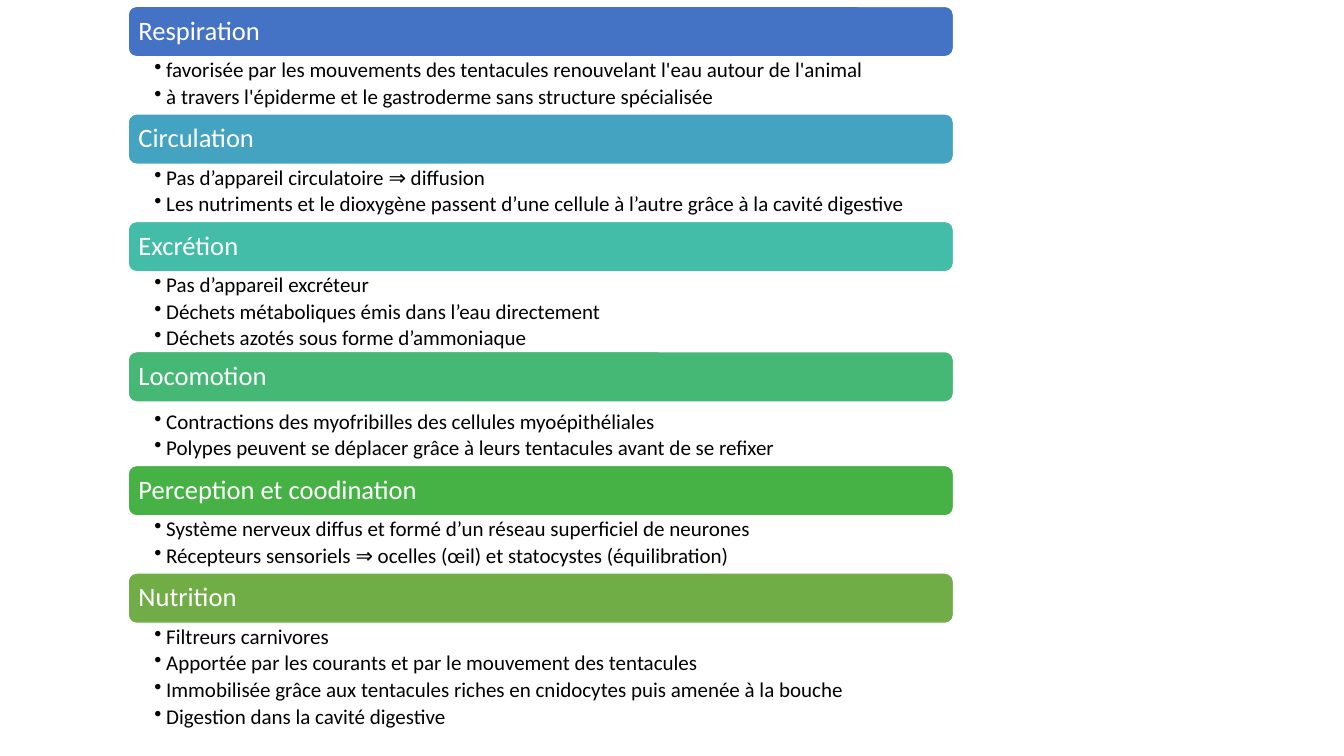
import pptx
import pptx.dml.color
import pptx.enum.shapes
import pptx.enum.text
import pptx.oxml.ns
import pptx.util
import lxml.etree

Cm = pptx.util.Cm
Pt = pptx.util.Pt
RGBColor = pptx.dml.color.RGBColor

WHITE = RGBColor(0xFF, 0xFF, 0xFF)
BLACK = RGBColor(0x00, 0x00, 0x00)
BLUE = RGBColor(0x44, 0x72, 0xC4)
SKY = RGBColor(0x44, 0xA3, 0xC0)
TEAL = RGBColor(0x43, 0xBD, 0xA7)
EMERALD = RGBColor(0x44, 0xB8, 0x74)
GREEN = RGBColor(0x46, 0xB2, 0x46)
OLIVE = RGBColor(0x70, 0xAD, 0x47)

# Lengths in centimetres
LEFT, WIDTH = 3.23, 20.8
FIRST_TOP = 0.16
HEADER_HEIGHT = 1.27
BULLET_HEIGHT = 0.72

# Title, colour, gap above the bullets, gap below the bullets, bullets
SECTIONS = [
    ("Respiration", BLUE, 0, 0, [
        "favorisée par les mouvements des tentacules renouvelant l'eau autour de l'animal",
        "à travers l'épiderme et le gastroderme sans structure spécialisée",
    ]),
    ("Circulation", SKY, 0, 0, [
        "Pas d’appareil circulatoire ⇒ diffusion",
        "Les nutriments et le dioxygène passent d’une cellule à l’autre grâce à la cavité digestive",
    ]),
    ("Excrétion", TEAL, 0, -0.15, [
        "Pas d’appareil excréteur",
        "Déchets métaboliques émis dans l’eau directement",
        "Déchets azotés sous forme d’ammoniaque",
    ]),
    ("Locomotion", EMERALD, 0.16, 0, [
        "Contractions des myofribilles des cellules myoépithéliales",
        "Polypes peuvent se déplacer grâce à leurs tentacules avant de se refixer",
    ]),
    ("Perception et coodination", GREEN, 0, 0, [
        "Système nerveux diffus et formé d’un réseau superficiel de neurones",
        "Récepteurs sensoriels ⇒ ocelles (œil) et statocystes (équilibration)",
    ]),
    ("Nutrition", OLIVE, 0, 0, [
        "Filtreurs carnivores",
        "Apportée par les courants et par le mouvement des tentacules",
        "Immobilisée grâce aux tentacules riches en cnidocytes puis amenée à la bouche",
        "Digestion dans la cavité digestive",
    ]),
]


class SectionList:
    """Holds the text style and the current slide."""

    font_name = "Calibri"
    header_size = Pt(19)
    bullet_size = Pt(15)
    line_spacing = 0.9
    bullet_gap = Pt(2.8)
    bullet_indent = Cm(0.3)

    def __init__(self, slide):
        self.slide = slide

    def set_frame(self, frame, left, right, vertical, anchor):
        frame.word_wrap = True
        frame.margin_left, frame.margin_right = Cm(left), Cm(right)
        frame.margin_top = frame.margin_bottom = Cm(vertical)
        frame.vertical_anchor = anchor

    def add_text(self, paragraph, text, size, color):
        paragraph.alignment = pptx.enum.text.PP_ALIGN.LEFT
        paragraph.line_spacing = self.line_spacing
        run = paragraph.add_run()
        run.text = text
        run.font.name = self.font_name
        run.font.size = size
        run.font.color.rgb = color

    def add_header(self, top, title, color):
        shape = self.slide.shapes.add_shape(
            pptx.enum.shapes.MSO_SHAPE.ROUNDED_RECTANGLE,
            Cm(LEFT), Cm(top), Cm(WIDTH), Cm(HEADER_HEIGHT))
        shape.shadow.inherit = False
        shape.fill.solid()
        shape.fill.fore_color.rgb = color
        shape.line.color.rgb = WHITE
        shape.line.width = Pt(1)
        frame = shape.text_frame
        self.set_frame(frame, 0.2, 0.2, 0.2, pptx.enum.text.MSO_ANCHOR.MIDDLE)
        self.add_text(frame.paragraphs[0], title, self.header_size, WHITE)

    def add_bullets(self, top, height, bullets):
        box = self.slide.shapes.add_textbox(Cm(LEFT), Cm(top), Cm(WIDTH), Cm(height))
        frame = box.text_frame
        self.set_frame(frame, 0.66, 0.38, 0.07, pptx.enum.text.MSO_ANCHOR.TOP)
        for index, text in enumerate(bullets):
            paragraph = frame.add_paragraph() if index else frame.paragraphs[0]
            paragraph.level = 1
            paragraph.space_after = self.bullet_gap
            self.add_text(paragraph, text, self.bullet_size, BLACK)
            self.add_bullet_mark(paragraph)

    def add_bullet_mark(self, paragraph):
        properties = paragraph._p.get_or_add_pPr()
        properties.set("marL", str(self.bullet_indent))
        properties.set("indent", str(-self.bullet_indent))
        mark = lxml.etree.SubElement(properties, pptx.oxml.ns.qn("a:buChar"))
        mark.set("char", "•")


presentation = pptx.Presentation()
presentation.slide_width = Cm(33.87)
presentation.slide_height = Cm(19.05)
section_list = SectionList(presentation.slides.add_slide(presentation.slide_layouts[6]))

# Stack each header and its bullets down the slide
top = FIRST_TOP
for title, color, gap_above, gap_below, bullets in SECTIONS:
    section_list.add_header(top, title, color)
    top += HEADER_HEIGHT + gap_above
    height = BULLET_HEIGHT * len(bullets)
    section_list.add_bullets(top, height, bullets)
    top += height + gap_below

presentation.save("out.pptx")
